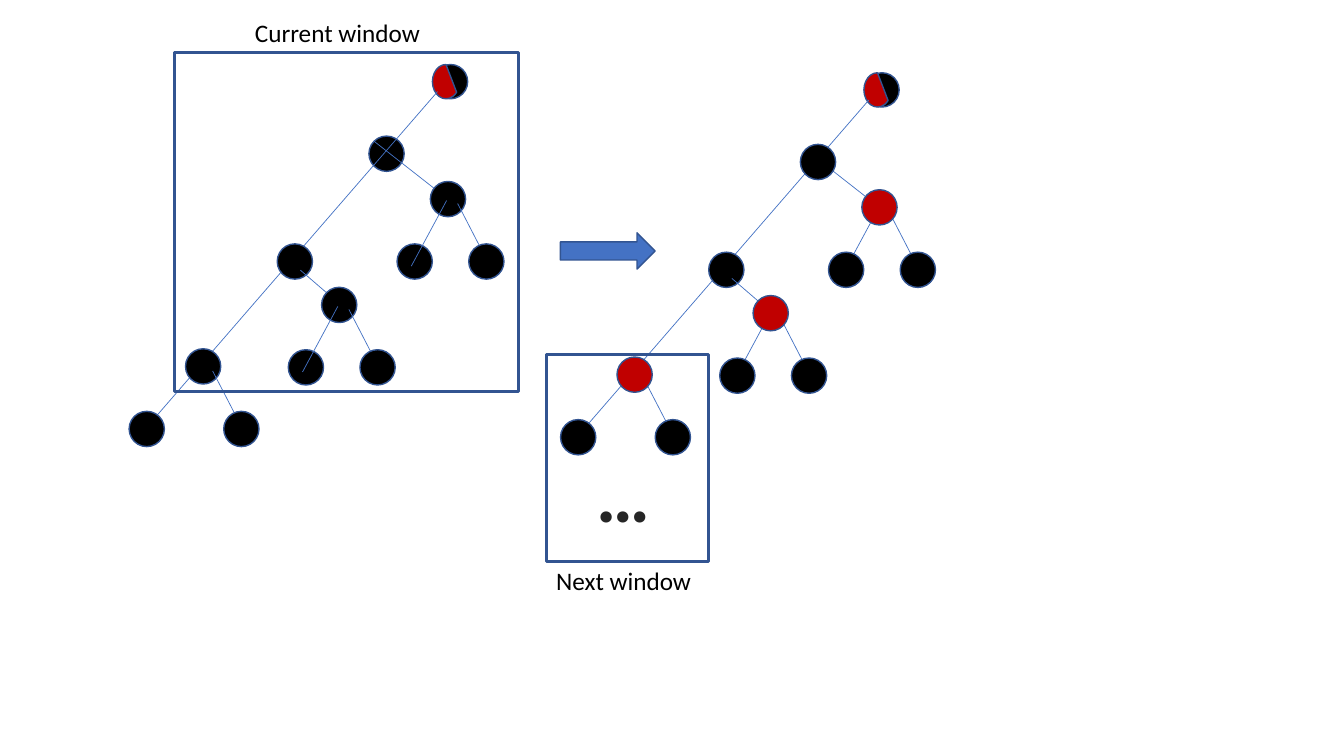
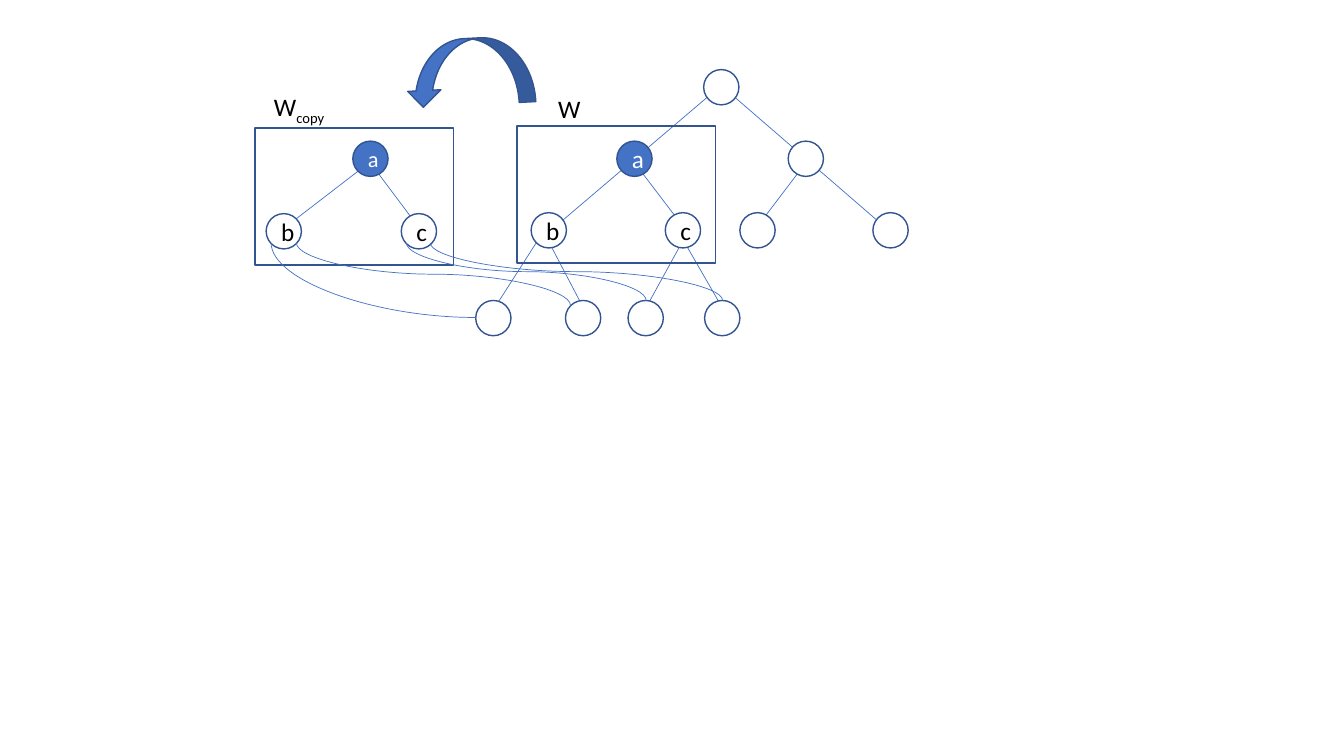
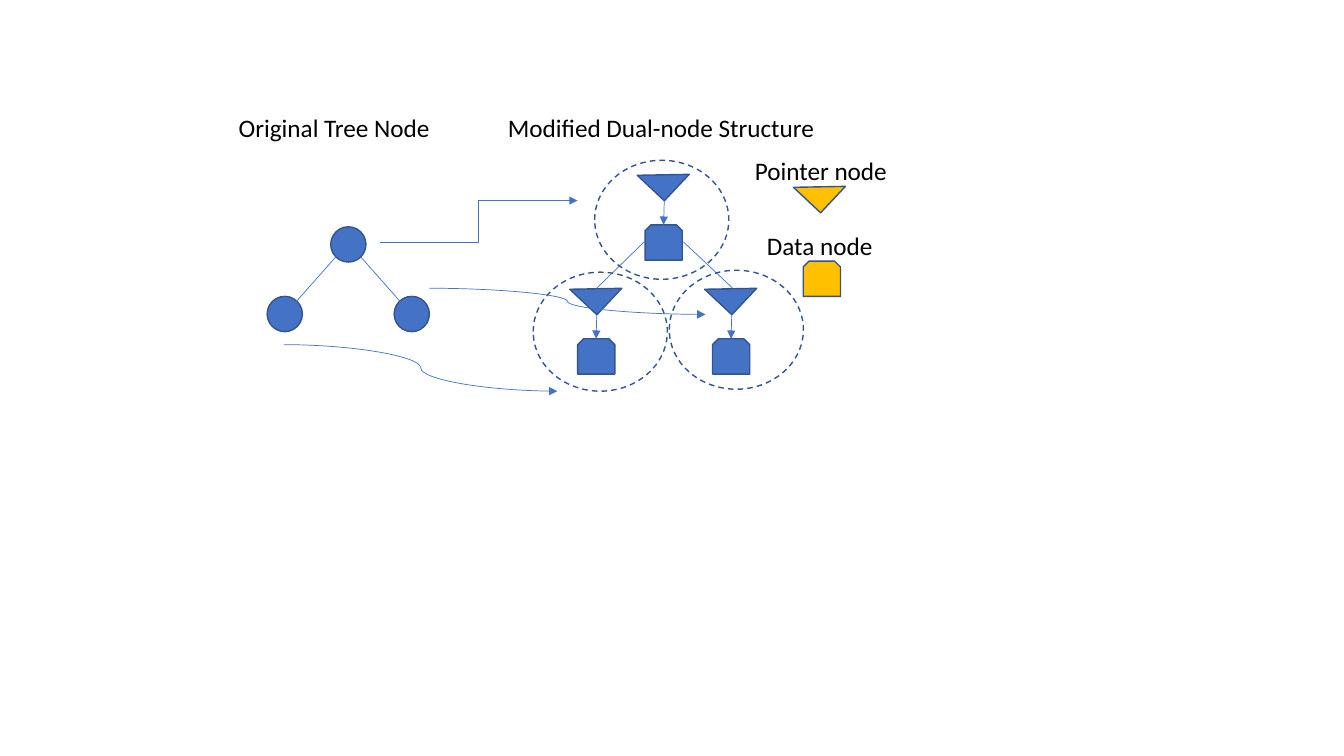
"""Build three slides of tree diagrams: window moves, window copies and dual nodes."""
from lxml.etree import SubElement
from pptx import Presentation
from pptx.dml.color import RGBColor
from pptx.enum.dml import MSO_LINE
from pptx.enum.shapes import MSO_CONNECTOR as Link, MSO_SHAPE as Form
from pptx.enum.text import MSO_AUTO_SIZE, PP_ALIGN
from pptx.oxml.ns import qn
from pptx.util import Pt

COLORS = {"blue": "4472C4", "edge": "325491", "black": "000000", "white": "FFFFFF",
          "red": "C00000", "gold": "FFC000", "dots": "262626"}
FONT = "Calibri"
NODE = 25.2
TRIANGLE = (25.9, 26.6)
BOX = (26.6, 25.2)


class Diagram:
    def __init__(self):
        self.presentation = Presentation()
        self.presentation.slide_width = Pt(960)
        self.presentation.slide_height = Pt(540)
        self.slide = None

    def new_slide(self):
        self.slide = self.presentation.slides.add_slide(self.presentation.slide_layouts[6])

    def color(self, name):
        return RGBColor.from_string(COLORS[name])

    def add_run(self, paragraph, text, size, color):
        run = paragraph.add_run()
        run.text = text
        run.font.name = FONT
        run.font.size = Pt(size)
        run.font.color.rgb = self.color(color)
        return run

    def shape(self, form, x, y, width, height, fill=None, weight=1, rotation=0, dashed=False):
        shape = self.slide.shapes.add_shape(form, Pt(x), Pt(y), Pt(width), Pt(height))
        shape.shadow.inherit = False
        shape.rotation = rotation
        if fill:
            shape.fill.solid()
            shape.fill.fore_color.rgb = self.color(fill)
        else:
            shape.fill.background()
        shape.line.color.rgb = self.color("edge")
        shape.line.width = Pt(weight)
        if dashed:
            shape.line.dash_style = MSO_LINE.DASH
        return shape

    def node(self, x, y, fill, text=None, size=18):
        shape = self.shape(Form.OVAL, x, y, NODE, NODE, fill)
        if text:
            paragraph = shape.text_frame.paragraphs[0]
            paragraph.alignment = PP_ALIGN.CENTER
            self.add_run(paragraph, text, size, "white" if fill == "blue" else "black")

    def text(self, x, y, width, text, subscript=None, size=18, color="black", height=28.8):
        box = self.slide.shapes.add_textbox(Pt(x), Pt(y), Pt(width), Pt(height))
        frame = box.text_frame
        frame.word_wrap = False
        frame.auto_size = MSO_AUTO_SIZE.SHAPE_TO_FIT_TEXT
        run = self.add_run(frame.paragraphs[0], text, size, color)
        if subscript:
            lowered = self.add_run(frame.paragraphs[0], subscript, size, color)
            lowered.font._element.set("baseline", "-25000")
        return run

    def outline(self, run, color, weight):
        properties = run.font._element
        line = SubElement(properties, qn("a:ln"), w=str(Pt(weight)))
        SubElement(SubElement(line, qn("a:solidFill")), qn("a:srgbClr"), val=COLORS[color])
        properties.insert(0, line)

    def link(self, x1, y1, x2, y2, kind=Link.STRAIGHT, arrow=False):
        connector = self.slide.shapes.add_connector(kind, Pt(x1), Pt(y1), Pt(x2), Pt(y2))
        connector.line.color.rgb = self.color("blue")
        connector.line.width = Pt(0.5)
        properties = connector._element.spPr
        if arrow:
            SubElement(properties.find(qn("a:ln")), qn("a:tailEnd"), type="triangle")
        SubElement(properties, qn("a:effectLst"))
        return connector

    def drop_curve(self, x1, y1, x2, y2, preset="curvedConnector3"):
        center_x, center_y = (x1 + x2) / 2, (y1 + y2) / 2
        half_width, half_height = (y2 - y1) / 2, (x2 - x1) / 2
        connector = self.link(center_x + half_width, center_y - half_height,
                              center_x - half_width, center_y + half_height, Link.CURVE)
        properties = connector._element.spPr
        properties.find(qn("a:xfrm")).set("rot", "16200000")
        properties.find(qn("a:prstGeom")).set("prst", preset)

    def pointer_node(self, x, y, fill):
        self.shape(Form.RIGHT_TRIANGLE, x, y, *TRIANGLE, fill, rotation=313.2)

    def data_node(self, x, y, fill):
        self.shape(Form.SNIP_2_SAME_RECTANGLE, x, y, *BOX, fill)

    def dual_node(self, x, y):
        self.pointer_node(x, y, "blue")
        self.data_node(x, y + 49, "blue")
        self.link(x + 13.7, y + 31.7, x + 13.2, y + 49, arrow=True)


def branch(x, y):
    return [("head", x, y),
            ("line", x + 41.1, y + 57.6, x + 19.5, y + 15.8),
            ("node", x + 27.4, y + 44.6),
            ("node", x - 23.8, y + 44.6),
            ("line", x + 11.6, y + 13.7, x - 13.6, y + 60.5)]


TREE = [("node", 263.5, 97.2),
        ("line", 320.4, 142.6, 267.1, 100.8),
        *branch(307.4, 129.6),
        ("spine", 312.5, 65.5, 102.2, 308.2),
        ("fork", 198, 174.2),
        ("line", 245.5, 219.6, 214.6, 193),
        *branch(229.7, 205.2),
        ("head", 132.5, 249.1),
        ("line", 173.5, 306.7, 151.9, 265),
        ("node", 159.8, 293.8),
        ("node", 92.2, 293.8)]
LAYERS = ["spine", "fork", "line", "head", "node"]


def draw_tree(diagram, parts, dx, dy, head_fill):
    diagram.shape(Form.OVAL, 309.6 + dx, 46.1 + dy, 24.5, 24.5, "black")
    diagram.shape(Form.CHORD, 308.9 + dx, 46.1 + dy, 19.4, 24.5, "red")
    for kind, x, y, *end in parts:
        if end:
            diagram.link(x + dx, y + dy, end[0] + dx, end[1] + dy)
        else:
            diagram.node(x + dx, y + dy, head_fill if kind == "head" else "black")


def window_move_slide(diagram):
    diagram.new_slide()
    draw_tree(diagram, TREE, 0, 0, "black")
    layered = sorted(TREE, key=lambda part: LAYERS.index(part[0]))
    draw_tree(diagram, layered, 308.2, 5.9, "red")
    diagram.shape(Form.RIGHT_ARROW, 400.3, 166.3, 67.7, 25.9, "blue")
    diagram.shape(Form.RECTANGLE, 124.6, 37.4, 245.5, 242.6, weight=2.25)
    diagram.shape(Form.RECTANGLE, 390.2, 253.4, 115.9, 147.6, weight=2.25)
    dots = diagram.text(419, 315.4, 53.3, "…", size=54, color="dots", height=72.7)
    dots.font.bold = True
    diagram.outline(dots, "white", 1.06)
    diagram.text(390.2, 400.3, 112.3, "Next window")
    diagram.text(175, 8.6, 133.9, "Current window")


def window_copy_slide(diagram):
    diagram.new_slide()
    for ends in [(478.8, 155.5, 524.9, 235.4), (383, 155.5, 424.8, 235.4),
                 (496.8, 155.5, 452.9, 235.4), (383, 173.5, 343.4, 235.4),
                 (444.2, 104.4, 496.8, 173.5), (584.6, 104.4, 532.1, 173.5),
                 (506.2, 53.3, 645.1, 173.5), (524.2, 53.3, 383, 173.5),
                 (255.6, 104.4, 307.4, 173.5), (255.6, 122.4, 211.7, 156.2)]:
        diagram.link(*ends)
    for x, y in [(502.6, 49.7), (563, 100.8), (528.5, 151.9), (623.5, 151.9),
                 (339.8, 214.6), (403.9, 214.6), (448.6, 214.6), (503.3, 214.6)]:
        diagram.node(x, y, "white")
    for x, y, fill, letter, size in [
            (440.6, 100.8, "blue", "a", 18), (379.4, 151.9, "white", "b", 18),
            (475.2, 151.9, "white", "c", 18), (252, 100.8, "blue", "a", 16),
            (190.1, 152.6, "white", "b", 18), (286.6, 152.6, "white", "c", 18)]:
        diagram.node(x, y, fill, letter, size)
    for x, y in [(182.2, 91.4), (369.4, 90)]:
        diagram.shape(Form.RECTANGLE, x, y, 141.8, 97.9)
    diagram.text(391.7, 63.4, 31, "W")
    diagram.text(188.6, 61.9, 53.3, "W", "copy")
    diagram.shape(Form.CURVED_UP_ARROW, 289.4, 27.4, 92.2, 47.5, "blue", rotation=177.1)
    diagram.drop_curve(307.4, 173.5, 516.2, 214.6)
    diagram.drop_curve(290.2, 173.5, 461.5, 214.6)
    diagram.drop_curve(211.7, 173.5, 407.5, 218.2)
    diagram.drop_curve(193.7, 173.5, 339.8, 226.8, "curvedConnector2")


def dual_node_slide(diagram):
    diagram.new_slide()
    for x, y in [(236.2, 162), (190.8, 211.7), (281.5, 211.7)]:
        diagram.node(x, y, "blue")
    for x, y in [(460.8, 111.6), (412.6, 193), (509, 193)]:
        diagram.dual_node(x, y)
    for ends in [(239.8, 183.6, 211.7, 215.3), (257.8, 183.6, 285.8, 215.3),
                 (460.1, 172.8, 426.2, 205.9), (488.2, 172.8, 523.4, 205.9)]:
        diagram.link(*ends)
    diagram.pointer_node(572.4, 120.2, "gold")
    diagram.data_node(573.8, 186.5, "gold")
    for x, y, width, label in [(163.4, 77, 152.6, "Original Tree Node"),
                               (355.7, 77, 236.2, "Modified Dual-node Structure"),
                               (532.1, 107.3, 110.2, "Pointer node"),
                               (540.7, 161.3, 90.7, "Data node")]:
        diagram.text(x, y, width, label)
    for x, y in [(478.1, 193), (380.9, 194.4), (424.8, 114.5)]:
        diagram.shape(Form.OVAL, x, y, 95.8, 85, dashed=True)
    diagram.link(271.4, 172.8, 412.6, 143.3, Link.ELBOW, arrow=True)
    diagram.link(203, 246.2, 398.2, 279.4, Link.CURVE, arrow=True)
    diagram.link(306.7, 205.9, 504, 224.6, Link.CURVE, arrow=True)


def main():
    diagram = Diagram()
    window_move_slide(diagram)
    window_copy_slide(diagram)
    dual_node_slide(diagram)
    diagram.presentation.save("out.pptx")


if __name__ == "__main__":
    main()
